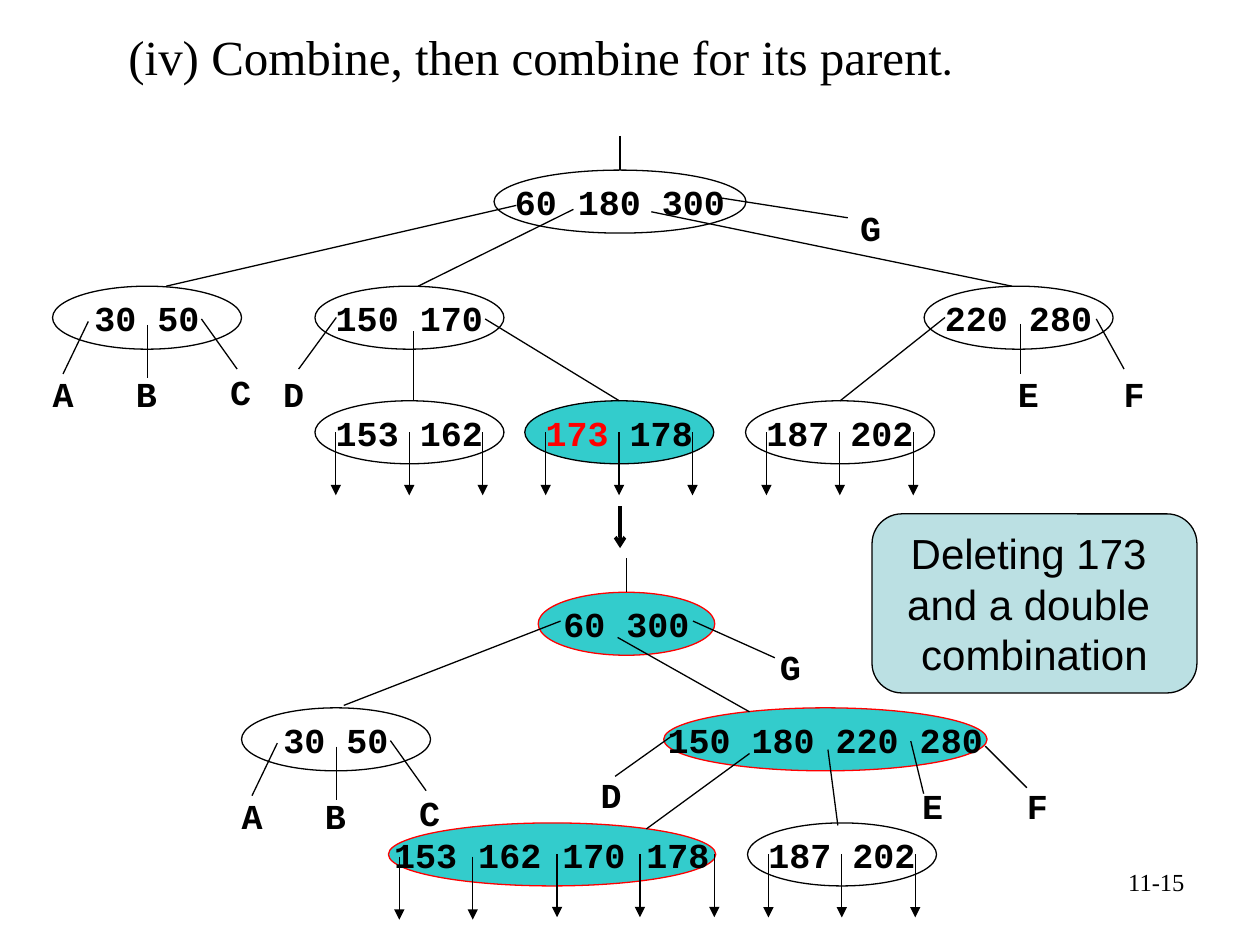
from lxml import etree
from pptx import Presentation
from pptx.dml.color import RGBColor
from pptx.enum.shapes import MSO_CONNECTOR, MSO_SHAPE
from pptx.enum.text import MSO_ANCHOR, MSO_AUTO_SIZE, PP_ALIGN
from pptx.oxml.ns import qn
from pptx.util import Cm, Pt

STRAIGHT = MSO_CONNECTOR.STRAIGHT
ELLIPSE = MSO_SHAPE.OVAL
ROUNDED = MSO_SHAPE.FLOWCHART_ALTERNATE_PROCESS
MIDDLE = MSO_ANCHOR.MIDDLE
GROW = MSO_AUTO_SIZE.SHAPE_TO_FIT_TEXT
LEFT, CENTER, RIGHT = PP_ALIGN.LEFT, PP_ALIGN.CENTER, PP_ALIGN.RIGHT

COLORS = {"ink": "000000", "red": "FF0000", "changed": "33CCCC", "note": "BBE0E3"}
KEY_FONT, TITLE_FONT, NOTE_FONT = "Courier New", "Times New Roman", "Arial"
NODE_WIDTH, NODE_HEIGHT = 3.81, 1.27
ARROW_LENGTH, ARROW_INSET, ARROW_STEP = 1.27, 0.42, 1.48


def color(name):
    return RGBColor.from_string(COLORS[name])


def add_run(paragraph, text, font=KEY_FONT, size=20, bold=False, ink="ink"):
    run = paragraph.add_run()
    run.text = text
    run.font.name = font
    run.font.size = Pt(size)
    run.font.bold = bold
    run.font.color.rgb = color(ink)


class TreeSlide:
    """Holds the slide and draws tree parts on it; all lengths are centimetres."""

    def __init__(self, slide):
        self.shapes = slide.shapes

    def filled_shape(self, kind, x, y, width, height, fill=None, line="ink"):
        shape = self.shapes.add_shape(kind, Cm(x), Cm(y), Cm(width), Cm(height))
        shape.shadow.inherit = False
        if fill:
            shape.fill.solid()
            shape.fill.fore_color.rgb = color(fill)
        else:
            shape.fill.background()
        shape.line.color.rgb = color(line)
        shape.line.width = Pt(0.75)
        shape.text_frame.word_wrap = False
        shape.text_frame.vertical_anchor = MIDDLE
        return shape

    def node(self, x, y, keys, width=NODE_WIDTH, fill=None, line="ink", deleted=""):
        """Draw an ellipse of keys; a deleted leading key is shown in red."""
        shape = self.filled_shape(ELLIPSE, x, y, width, NODE_HEIGHT, fill, line)
        paragraph = shape.text_frame.paragraphs[0]
        paragraph.alignment = CENTER
        if deleted:
            add_run(paragraph, deleted, bold=True, ink="red")
        add_run(paragraph, keys, bold=True)
        return shape

    def note(self, x, y, width, height, lines):
        shape = self.filled_shape(ROUNDED, x, y, width, height, "note")
        frame = shape.text_frame
        for index, text in enumerate(lines):
            paragraph = frame.add_paragraph() if index else frame.paragraphs[0]
            paragraph.alignment = CENTER
            add_run(paragraph, text, NOTE_FONT, 24)

    def text(self, x, y, width, height, runs, align=LEFT, wrap=False):
        box = self.shapes.add_textbox(Cm(x), Cm(y), Cm(width), Cm(height))
        frame = box.text_frame
        frame.word_wrap = wrap
        if not wrap:
            frame.auto_size = GROW
        frame.paragraphs[0].alignment = align
        for text, run_format in runs:
            add_run(frame.paragraphs[0], text, **run_format)

    def line(self, start, end, width=0.75, head=None, child=None):
        """Draw a line; a child node catches its end at the top."""
        connector = self.shapes.add_connector(STRAIGHT, *map(Cm, start + end))
        if child is not None:
            connector.end_connect(child, 0)
        connector.line.color.rgb = color("ink")
        connector.line.width = Pt(width)
        if head:
            outline = connector.line._get_or_add_ln()
            etree.SubElement(outline, qn("a:tailEnd"), type=head)
        etree.SubElement(connector._element.spPr, qn("a:effectLst"))

    def subtree(self, letter, label, start, end):
        """Draw a line and the letter of the subtree it leads to."""
        self.line(start, end)
        self.text(*label, 0.91, 1.12, [(letter, {"bold": True})])

    def arrows(self, xs, y):
        for x in xs:
            self.line((x, y), (x, y + ARROW_LENGTH), head="triangle")

    def leaf(self, x, y, keys, **style):
        """Draw a two-key leaf with its three pointers."""
        shape = self.node(x, y, keys, **style)
        first = x + ARROW_INSET
        self.arrows([first + i * ARROW_STEP for i in range(3)], y + NODE_HEIGHT / 2)
        return shape

    def left_branch(self, x, y):
        """Draw node 30 50 with subtrees A, B and C."""
        self.node(x, y, "30 50")
        for letter, label, start, end in (
            ("A", (-0.25, 1.62), (0.72, 0.71), (0.21, 1.77)),
            ("B", (1.43, 1.62), (1.91, 0.78), (1.91, 1.85)),
            ("C", (3.33, 1.57), (3, 0.66), (3.72, 1.67)),
        ):
            points = [(x + dx, y + dy) for dx, dy in (label, start, end)]
            self.subtree(letter, *points)


def draw_before(tree):
    root = tree.node(9.96, 3.43, "60 180 300", 5.08)
    tree.node(6.35, 5.77, "150 170")
    tree.node(18.63, 5.77, "220 280")
    tree.leaf(6.35, 8.08, "153 162")
    changed = tree.leaf(10.58, 8.08, " 178", fill="changed", deleted="173")
    right = tree.leaf(15.03, 8.08, "187 202")
    tree.left_branch(1.06, 5.77)

    tree.line((12.5, 2.74), (12.5, 3.43), child=root)
    tree.line((9.78, 6.43), (12.48, 8.08), child=changed)
    tree.line((19.05, 6.4), (16.94, 8.08), child=right)
    for start, end in (
        ((10.41, 4.14), (3.35, 5.77)),
        ((11.56, 4.22), (8.43, 5.77)),
        ((13.13, 4.27), (20.4, 5.77)),
        ((8.34, 6.68), (8.34, 8.08)),
    ):
        tree.line(start, end)
    tree.subtree("D", (5.46, 7.39), (6.78, 6.4), (6.02, 7.44))
    tree.subtree("E", (20.27, 7.39), (20.57, 6.53), (20.57, 7.54))
    tree.subtree("F", (22.4, 7.39), (22.1, 6.43), (22.66, 7.44))
    tree.subtree("G", (17.09, 4.04), (14.53, 3.99), (17.09, 4.39))


def draw_after(tree):
    combined = {"fill": "changed", "line": "red"}
    root = tree.node(10.85, 11.94, "60 300", 3.56, **combined)
    tree.node(13.38, 14.27, "150 180 220 280", 6.52, **combined)
    tree.node(7.83, 16.59, "153 162 170 178", 6.6, **combined)
    tree.arrows((8.05, 9.53), 17.27)
    tree.arrows((11.23, 12.9, 14.4), 17.22)
    tree.leaf(15.07, 16.59, "187 202")
    tree.left_branch(4.87, 14.27)

    tree.line((12.63, 11.25), (12.63, 11.94), child=root)
    for start, end in (
        ((11.3, 12.52), (6.93, 14.22)),
        ((12.45, 12.85), (15.11, 14.35)),
        ((15.11, 15.19), (13.03, 16.71)),
        ((16.69, 15.11), (16.89, 16.64)),
    ):
        tree.line(start, end)
    tree.subtree("D", (11.86, 15.47), (13.51, 14.86), (12.4, 15.65))
    tree.subtree("E", (18.34, 15.7), (18.36, 14.94), (18.62, 16))
    tree.subtree("F", (20.45, 15.7), (19.86, 15.04), (20.7, 15.88))
    tree.subtree("G", (15.47, 12.88), (13.97, 12.52), (15.62, 13.26))


def main():
    presentation = Presentation()
    presentation.slide_width, presentation.slide_height = Cm(25.4), Cm(19.05)
    tree = TreeSlide(presentation.slides.add_slide(presentation.slide_layouts[6]))

    tree.text(2.34, 0.41, 17.15, 1.45, [
        ("(iv) Combine, then combine for its parent", {"font": TITLE_FONT, "size": 28}),
        (".", {"font": "Lato", "size": 24}),
    ])
    draw_before(tree)
    tree.line((12.5, 10.21), (12.5, 11.05), width=2, head="arrow")
    draw_after(tree)
    tree.note(17.58, 10.36, 6.55, 3.61,
              ("Deleting 173 ", "and a double ", "combination"))
    tree.text(18.21, 17.35, 5.92, 1.32,
              [("11-15", {"font": TITLE_FONT, "size": 14})], align=RIGHT, wrap=True)
    presentation.save("out.pptx")


if __name__ == "__main__":
    main()
